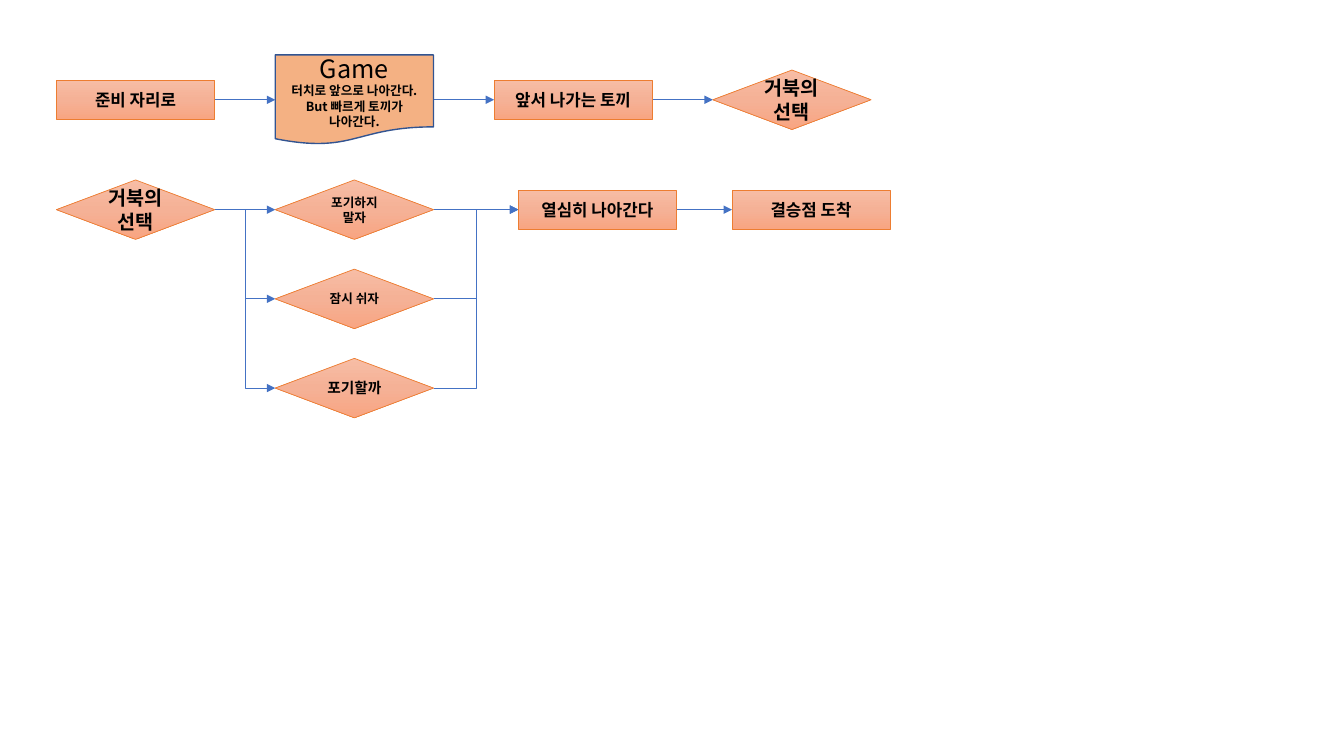
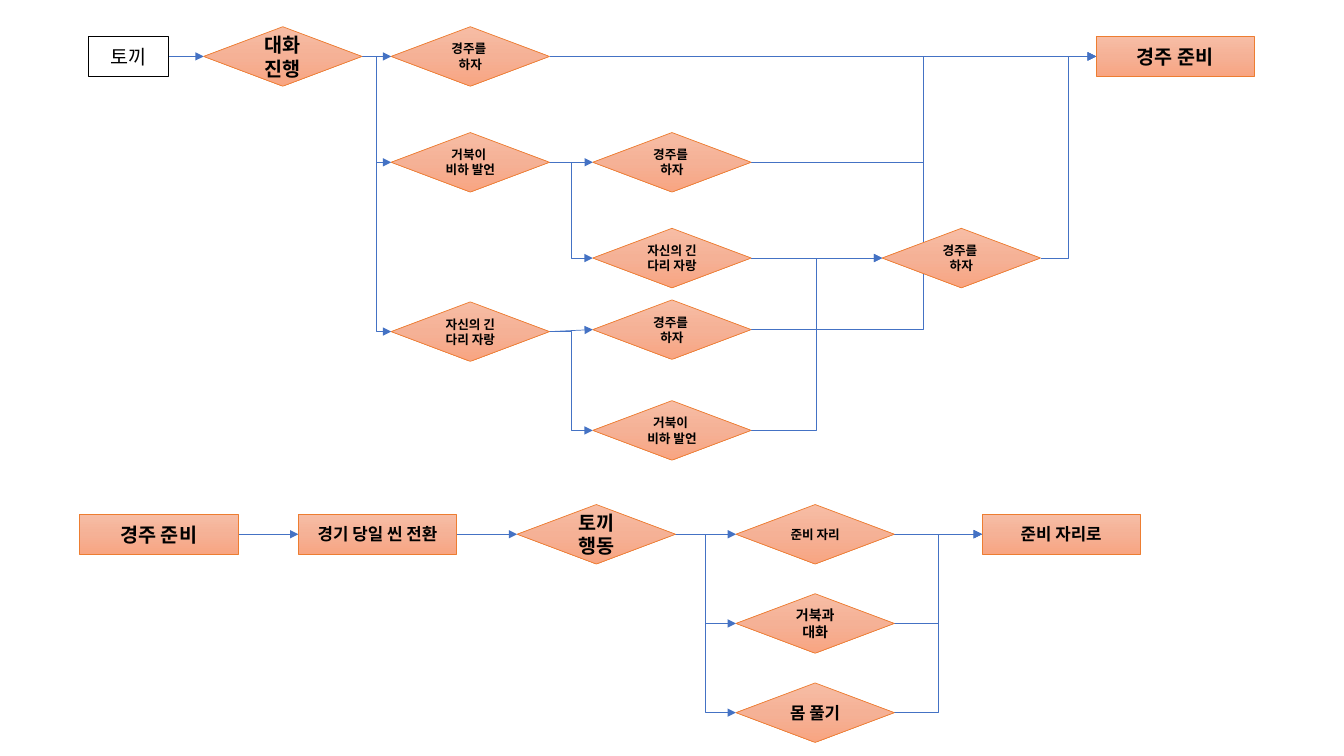
from copy import deepcopy
from dataclasses import dataclass
from lxml.etree import SubElement
from pptx import Presentation
from pptx.dml.color import RGBColor as RGB
from pptx.enum.shapes import MSO_CONNECTOR as Wire, MSO_SHAPE as Shape
from pptx.enum.text import MSO_ANCHOR as Anchor, PP_ALIGN as Align
from pptx.oxml.ns import qn
from pptx.util import Inches, Pt


@dataclass(frozen=True)
class Theme:
    """Colours, fonts and lengths in inches that the slides share."""
    shades: tuple = ("F7BDA5", "F5B196", "F8A582")
    edge: str = "ED7D31"
    wire: str = "4472C4"
    ink: str = "000000"
    page: str = "F4B183"
    rim: str = "325491"
    latin: str = "Arial"
    asian: str = "Noto Sans CJK KR"
    wide: float = 1.57
    step: float = 2.17
    drop: float = 0.885
    big: float = 14
    mid: float = 12
    small: float = 9
    head: float = 18


@dataclass(frozen=True)
class Kind:
    """Look of one kind of flow chart node."""
    shape: object
    high: float
    size: float
    face: str
    wide: float = Theme.wide
    fill: object = Theme.shades
    edge: str = Theme.edge
    rule: float = 0.5
    bold: bool = True


T = Theme()
STEP = Kind(Shape.RECTANGLE, 0.39, T.mid, T.latin)
CHOICE = Kind(Shape.FLOWCHART_DECISION, 0.59, T.big, T.latin)
OPTION = Kind(Shape.FLOWCHART_DECISION, 0.59, T.small, T.asian)
PAGE = Kind(Shape.FLOWCHART_DOCUMENT, 0.89, T.small, T.asian,
            fill=T.page, edge=T.rim, rule=1)
ROLE = Kind(Shape.RECTANGLE, 0.39, T.big, T.asian, wide=0.79,
            fill=None, edge=T.ink, rule=0.75, bold=False)


def paint(shape, fill):
    """Fill a shape with a gradient, one colour or nothing."""
    if fill is None:
        shape.fill.background()
    elif isinstance(fill, str):
        shape.fill.solid()
        shape.fill.fore_color.rgb = RGB.from_string(fill)
    else:
        shape.fill.gradient()
        shape.fill.gradient_angle = 270
        stops = shape.element.spPr.find(".//" + qn("a:gsLst"))
        stops.append(deepcopy(stops[0]))
        for i, stop in enumerate(shape.fill.gradient_stops):
            stop.position = i / (len(fill) - 1)
            stop.color.rgb = RGB.from_string(fill[i])


def write(shape, kind, text, size):
    """Put centred text into a node."""
    frame = shape.text_frame
    frame.word_wrap = True
    frame.vertical_anchor = Anchor.MIDDLE
    para = frame.paragraphs[0]
    para.text = text
    para.alignment = Align.CENTER
    font = para.font
    font.size = Pt(size or kind.size)
    font.bold = kind.bold
    font.name = kind.face
    font.color.rgb = RGB.from_string(T.ink)
    props = para._p.get_or_add_pPr().find(qn("a:defRPr"))
    SubElement(props, qn("a:ea")).set("typeface", T.asian)
    return para


def node(slide, left, mid, kind, text, size=None):
    """Add a node by its left edge and its middle height."""
    shape = slide.shapes.add_shape(
        kind.shape, Inches(left), Inches(mid - kind.high / 2),
        Inches(kind.wide), Inches(kind.high))
    shape.shadow.inherit = False
    paint(shape, kind.fill)
    shape.line.color.rgb = RGB.from_string(kind.edge)
    shape.line.width = Pt(kind.rule)
    para = write(shape, kind, text, size)
    if kind is PAGE:
        title = para.runs[0].font
        title.size, title.bold = Pt(T.head), False
    return shape


def link(slide, start, end):
    """Run an arrow behind the nodes from one right side to a left side."""
    gap = (start.top + start.height // 2) - (end.top + end.height // 2)
    form = Wire.STRAIGHT if abs(gap) < Inches(0.05) else Wire.ELBOW
    wire = slide.shapes.add_connector(form, 0, 0, 0, 0)
    wire.begin_connect(start, 3)
    wire.end_connect(end, 1)
    wire.line.color.rgb = RGB.from_string(T.wire)
    wire.line.width = Pt(0.5)
    line = wire.element.spPr.find(qn("a:ln"))
    SubElement(line, qn("a:tailEnd")).set("type", "triangle")
    SubElement(wire.element.spPr, qn("a:effectLst"))
    slide.shapes.element.insert(2, wire.element)


def row(slide, left, mid, items, step=T.step):
    """Chain nodes from left to right and return them."""
    nodes = [node(slide, left + i * step, mid, *item)
             for i, item in enumerate(items)]
    for start, end in zip(nodes, nodes[1:]):
        link(slide, start, end)
    return nodes


def fan(slide, left, mid, head, options, goal):
    """Branch from a head to stacked options that meet in a goal."""
    for i, item in enumerate(options):
        option = node(slide, left, mid + i * T.drop, OPTION, *item)
        link(slide, head, option)
        link(slide, option, goal)


def talk(slide, left, mid):
    """Draw the hare's talk, which leads to the race."""
    race, mock, boast = "경주를 \v하자", "거북이 \v비하 발언", "자신의 긴 다리 자랑"
    cols = [left + x for x in (3, 5, 7.87)]
    rows = [mid + y for y in (0, 1.05, 2, 2.71, 3.71)]
    hare = node(slide, left, mid, ROLE, "토끼")
    chat = node(slide, left + 1.14, mid, CHOICE, "대화 진행")
    goal = node(slide, left + 9.99, mid, STEP, "경주 준비", T.big)
    ask = node(slide, cols[0], rows[0], OPTION, race)
    tease = node(slide, cols[0], rows[1], OPTION, mock)
    brag = node(slide, cols[0], rows[3] + 0.02, OPTION, boast)
    second = [node(slide, cols[1], y, OPTION, text)
              for y, text in zip(rows[1:], (race, boast, race, mock))]
    last = node(slide, cols[2], rows[2], OPTION, race)
    link(slide, hare, chat)
    for reply in (ask, tease, brag):
        link(slide, chat, reply)
    for i, reply in enumerate(second):
        link(slide, (tease, brag)[i // 2], reply)
        link(slide, reply, (goal, last)[i % 2])
    for reply in (ask, last):
        link(slide, reply, goal)


def day(slide, left, mid):
    """Draw the day of the race up to the start line."""
    head = row(slide, left, mid, [
        (STEP, "경주 준비", T.big), (STEP, "경기 당일 씬 전환"),
        (CHOICE, "토끼\v행동")])[-1]
    goal = node(slide, left + 8.95, mid, STEP, "준비 자리로")
    fan(slide, left + 3 * T.step, mid, head,
        [("준비 자리",), ("거북과 대화", 10), ("몸 풀기", T.mid)], goal)


def game(slide, left, mid):
    """Draw the game from the start line to the tortoise's choice."""
    row(slide, left, mid, [
        (STEP, "준비 자리로"),
        (PAGE, "Game\v터치로 앞으로 나아간다.\vBut 빠르게 토끼가 나아간다."),
        (STEP, "앞서 나가는 토끼"), (CHOICE, "거북의 선택")])


def finish(slide, left, mid):
    """Draw the tortoise's choice and the way to the finish."""
    head = node(slide, left, mid, CHOICE, "거북의 선택")
    goal = row(slide, left + 4.58, mid, [
        (STEP, "열심히 나아간다"), (STEP, "결승점 도착")], 2.12)[0]
    fan(slide, left + T.step, mid, head,
        [("포기하지 말자",), ("잠시 쉬자",), ("포기할까", 10.5)], goal)


def main():
    """Build and save both slides."""
    deck = Presentation()
    deck.slide_width, deck.slide_height = Inches(13.33), Inches(7.5)
    blank = deck.slide_layouts[6]
    first = deck.slides.add_slide(blank)
    game(first, 0.56, 0.99)
    finish(first, 0.56, 2.08)
    second = deck.slides.add_slide(blank)
    talk(second, 0.88, 0.56)
    day(second, 0.79, 5.3)
    deck.save("out.pptx")


main()
